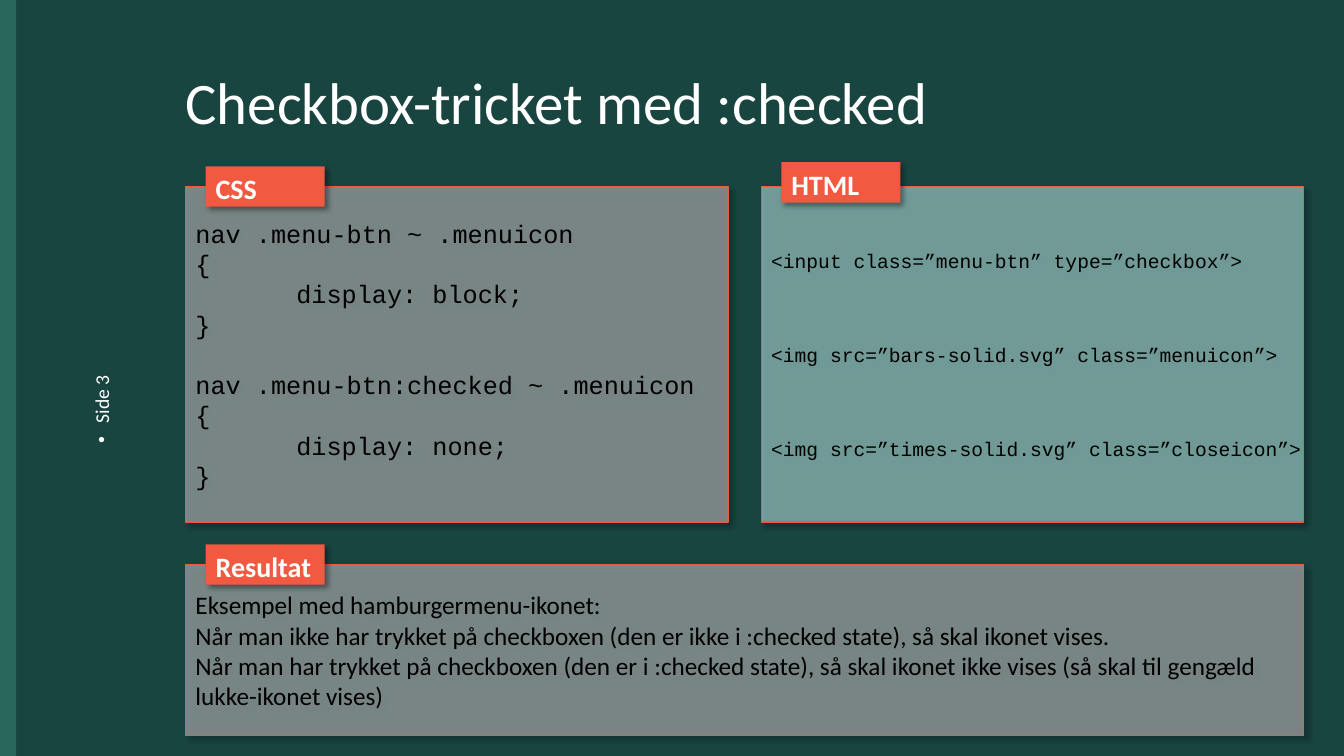
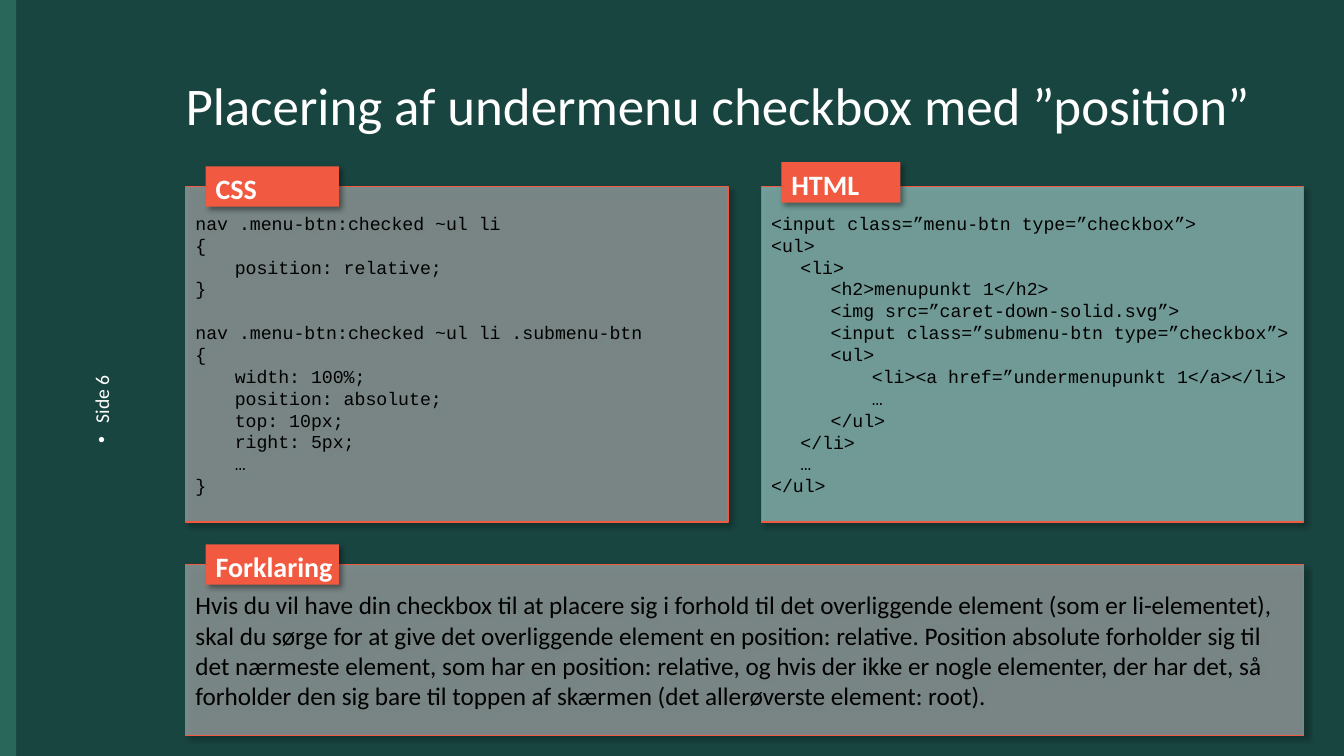
from lxml.etree import SubElement
from pptx import Presentation
from pptx.dml.color import RGBColor
from pptx.enum.shapes import MSO_SHAPE
from pptx.enum.text import MSO_ANCHOR, PP_ALIGN
from pptx.oxml.ns import qn
from pptx.util import Inches, Pt

# Colours
DARK = RGBColor(0x19, 0x45, 0x41)
GREEN = RGBColor(0x28, 0x67, 0x59)
ORANGE = RGBColor(0xF1, 0x5A, 0x40)
GREY = RGBColor(0xBF, 0xBF, 0xBF)
MINT = RGBColor(0xB3, 0xE3, 0xDF)
WHITE = RGBColor(0xFF, 0xFF, 0xFF)
BLACK = RGBColor(0x00, 0x00, 0x00)

# Grid: two columns, two rows given as (top, height)
WIDTH, HEIGHT = 13.33, 7.5
LEFT, COL_W, GUTTER = 1.84, 5.38, 0.33
ROWS = ((1.85, 3.33), (5.6, 1.7))
LINE = 1.2  # height of a text line, as a share of its size

# Text formats
SANS, MONO = "Calibri", "Courier New"
SIDE = {"name": SANS, "size": Pt(14), "color": WHITE}
LABEL = {"name": SANS, "size": Pt(20), "color": WHITE, "bold": True}
BODY = {"name": SANS, "size": Pt(18), "color": BLACK}


def title_format(size):
    return {"name": SANS, "size": Pt(size), "color": WHITE}


def code_format(size):
    return {"name": MONO, "size": Pt(size), "color": BLACK}


class Deck:
    """Holds the style and the current slide."""

    def __init__(self):
        self.prs = Presentation()
        self.prs.slide_width = Inches(WIDTH)
        self.prs.slide_height = Inches(HEIGHT)
        self.s = None

    def slide(self, title, size, number):
        self.s = self.prs.slides.add_slide(self.prs.slide_layouts[6])
        bg = self.s.background.fill
        bg.solid()
        bg.fore_color.rgb = DARK
        self.box((0, 0, 0.16, HEIGHT), GREEN)
        self.title(title, size)
        self.side_number(number)

    def cell(self, col, row, span=1):
        top, height = ROWS[row]
        left = LEFT + col * (COL_W + GUTTER)
        return left, top, span * COL_W + (span - 1) * GUTTER, height

    def box(self, area, color, alpha=None, line=None, shadow=False):
        sp = self.s.shapes.add_shape(MSO_SHAPE.RECTANGLE, *map(Inches, area))
        sp.shadow.inherit = False
        sp.fill.solid()
        sp.fill.fore_color.rgb = color
        pr = sp._element.spPr
        if alpha:
            clr = pr.find(qn("a:solidFill")).find(qn("a:srgbClr"))
            SubElement(clr, qn("a:alpha"), val=str(alpha * 1000))
        if line:
            sp.line.color.rgb = line
            sp.line.width = Pt(1)
        else:
            sp.line.fill.background()
        if shadow:
            outer = SubElement(pr.find(qn("a:effectLst")), qn("a:outerShdw"),
                               blurRad=str(Pt(4)), dist=str(Pt(3)),
                               dir="2700000", algn="tl", rotWithShape="0")
            clr = SubElement(outer, qn("a:srgbClr"), val=str(BLACK))
            SubElement(clr, qn("a:alpha"), val="40000")
        return sp

    def frame(self, sp, anchor, insets=(0, 0, 0, 0)):
        tf = sp.text_frame
        names = ("margin_left", "margin_top", "margin_right", "margin_bottom")
        for name, inset in zip(names, insets):
            setattr(tf, name, Inches(inset))
        tf.word_wrap = True
        tf.vertical_anchor = anchor
        return tf

    def add_text(self, tf, text, fmt, indents=()):
        """Leading tabs choose an indent; empty lines become space before."""
        p, blanks = tf.paragraphs[0], 0
        for i, row in enumerate(text):
            if not row:
                blanks += 1
                continue
            if i:
                p = tf.add_paragraph()
            p.text = row.lstrip("\t")
            p.alignment = PP_ALIGN.LEFT
            level = len(row) - len(row.lstrip("\t"))
            if level:
                p._p.get_or_add_pPr().set("marL", str(Inches(indents[level - 1])))
            if blanks:
                p.space_before = Pt(round(blanks * LINE * fmt["size"].pt, 1))
                blanks = 0
            for r in p.runs:
                for key, value in fmt.items():
                    if key == "color":
                        r.font.color.rgb = value
                    else:
                        setattr(r.font, key, value)
        return p

    def text_box(self, area, text, fmt, anchor):
        sp = self.s.shapes.add_textbox(*map(Inches, area))
        return sp, self.add_text(self.frame(sp, anchor), [text], fmt)

    def title(self, text, size):
        area = (LEFT, 0.49, 2 * COL_W + GUTTER, 0.87)
        _, p = self.text_box(area, text, title_format(size), MSO_ANCHOR.BOTTOM)
        p.line_spacing = 0.9

    def side_number(self, number):
        area = (0.4, 3.64, 1.21, 0.31)
        sp, p = self.text_box(area, f"Side {number}", SIDE, MSO_ANCHOR.MIDDLE)
        sp.rotation = 270
        pr = p._p.get_or_add_pPr()
        pr.set("marL", str(Inches(0.2)))
        pr.set("indent", str(Inches(-0.2)))
        SubElement(pr, qn("a:buFont"), typeface="Arial")
        SubElement(pr, qn("a:buChar"), char="•")

    def panel(self, area, color, label, text, fmt, indents=(),
              label_w=1.18, lift=0.2):
        sp = self.box(area, color, alpha=59, line=ORANGE, shadow=True)
        insets = (0.1, 0.05, 0, 0.05)
        self.add_text(self.frame(sp, MSO_ANCHOR.MIDDLE, insets), text, fmt, indents)
        tag = (area[0] + 0.2, area[1] - lift, label_w, 0.4)
        sp = self.box(tag, ORANGE, shadow=True)
        self.add_text(self.frame(sp, MSO_ANCHOR.TOP, insets), [label], LABEL)

    def css(self, code, size, indent, label_w):
        self.panel(self.cell(0, 0), GREY, "CSS", code.splitlines(),
                   code_format(size), (indent,), label_w)

    def html(self, code, size):
        self.panel(self.cell(1, 0), MINT, "HTML", code.splitlines(),
                   code_format(size), (0.29, 0.59, 1), lift=0.24)

    def note(self, label, text, label_w):
        self.panel(self.cell(0, 1, span=2), GREY, label, text, BODY,
                   label_w=label_w)


# Code samples
CHECKED_CSS = """nav .menu-btn ~ .menuicon
{
\tdisplay: block;
}

nav .menu-btn:checked ~ .menuicon
{
\tdisplay: none;
}"""

CHECKED_HTML = """<input class=”menu-btn” type=”checkbox”>



<img src=”bars-solid.svg” class=”menuicon”>



<img src=”times-solid.svg” class=”closeicon”>"""

POSITION_CSS = """nav .menu-btn:checked ~ul li
{
\tposition: relative;
}

nav .menu-btn:checked ~ul li .submenu-btn
{
\twidth: 100%;
\tposition: absolute;
\ttop: 10px;
\tright: 5px;
\t…
}"""

POSITION_HTML = """<input class=”menu-btn type=”checkbox”>
<ul>
\t<li>
\t\t<h2>menupunkt 1</h2>
\t\t<img src=”caret-down-solid.svg”>
\t\t<input class=”submenu-btn type=”checkbox”>
\t\t<ul>
\t\t\t<li><a href=”undermenupunkt 1</a></li>
\t\t\t…
\t\t</ul>
\t</li>
\t…
</ul>"""


def main():
    deck = Deck()

    # Checkbox trick
    deck.slide("Checkbox-tricket med :checked", 42, 3)
    deck.css(CHECKED_CSS, 18, indent=1, label_w=1.18)
    deck.html(CHECKED_HTML, 14)
    deck.note("Resultat", [
        "Eksempel med hamburgermenu-ikonet:",
        "Når man ikke har trykket på checkboxen (den er ikke i :checked state), "
        "så skal ikonet vises.",
        "Når man har trykket på checkboxen (den er i :checked state), "
        "så skal ikonet ikke vises (så skal til gengæld\nlukke-ikonet vises)",
    ], label_w=1.18)

    # Submenu position
    deck.slide("Placering af undermenu checkbox med ”position”", 37.8, 6)
    deck.css(POSITION_CSS, 13, indent=0.39, label_w=1.32)
    deck.html(POSITION_HTML, 13)
    deck.note("Forklaring", [
        "Hvis du vil have din checkbox til at placere sig i forhold til det "
        "overliggende element (som er li-elementet),\n"
        "skal du sørge for at give det overliggende element en position: "
        "relative. Position absolute forholder sig til\n"
        "det nærmeste element, som har en position: relative, og hvis der "
        "ikke er nogle elementer, der har det, så\n"
        "forholder den sig bare til toppen af skærmen (det allerøverste "
        "element: root).",
    ], label_w=1.32)

    deck.prs.save("out.pptx")


if __name__ == "__main__":
    main()
